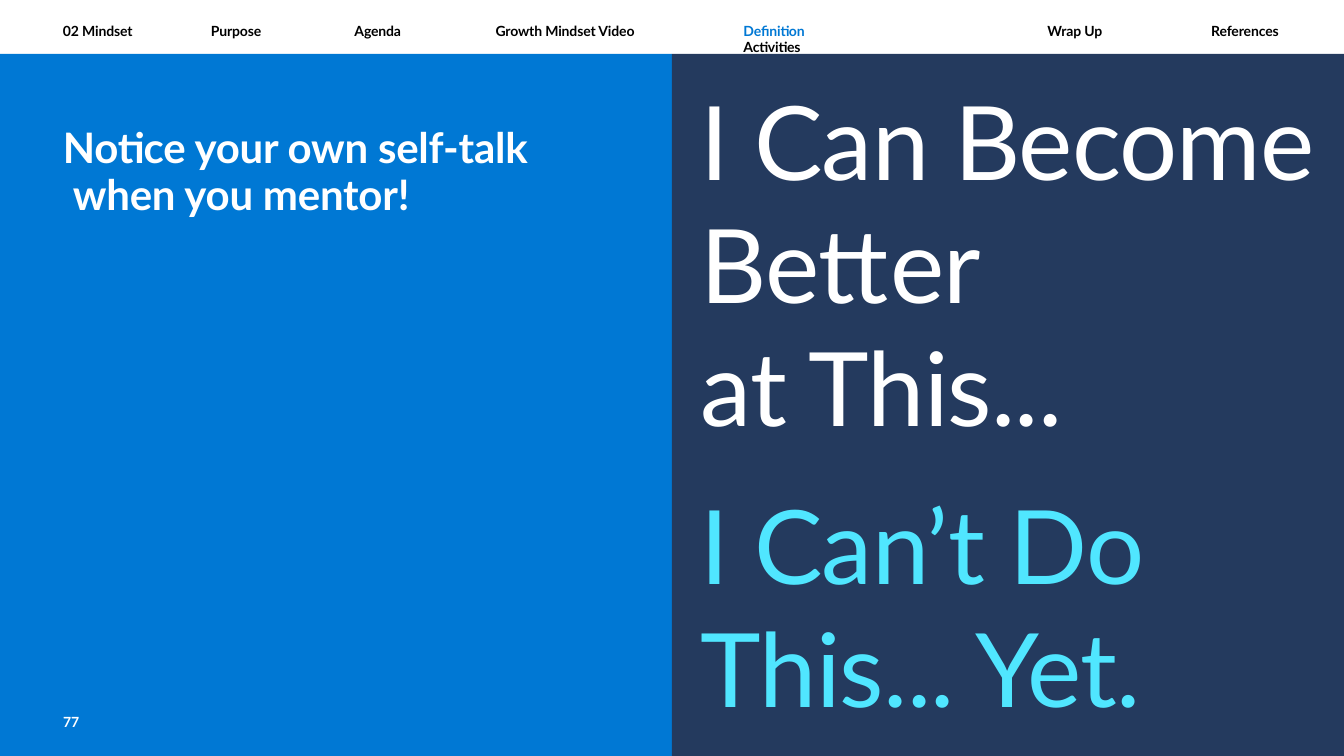
from pptx import Presentation
from pptx.dml.color import RGBColor
from pptx.enum.shapes import MSO_SHAPE
from pptx.util import Pt

COLORS = {
    "white": "FFFFFF",
    "black": "000000",
    "blue": "0078D4",
    "navy": "243A5E",
    "cyan": "50E6FF",
}
WIDTH, HEIGHT, HEADER = 1152, 648, 46.08
MARGIN = 53.3

deck = Presentation()
deck.slide_width = Pt(WIDTH)
deck.slide_height = Pt(HEIGHT)
page = deck.slides.add_slide(deck.slide_layouts[6])


def add_panel(left, top, width, height, color):
    panel = page.shapes.add_shape(
        MSO_SHAPE.RECTANGLE, Pt(left), Pt(top), Pt(width), Pt(height)
    )
    panel.shadow.inherit = False
    panel.fill.solid()
    panel.fill.fore_color.rgb = RGBColor.from_string(COLORS[color])
    panel.line.fill.background()


def add_lines(left, top, width, height, lines, size, bold=True, spacing=-0.1):
    box = page.shapes.add_textbox(Pt(left), Pt(top), Pt(width), Pt(height))
    frame = box.text_frame
    frame.word_wrap = True
    frame.margin_left = frame.margin_top = frame.margin_right = frame.margin_bottom = 0
    frame.text = "\n".join(text for text, color in lines)
    for para, (text, color) in zip(frame.paragraphs, lines):
        for span in para.runs:
            span.font.name = "Lato"
            span.font.size = Pt(size)
            span.font.bold = bold
            span.font.color.rgb = RGBColor.from_string(COLORS[color])
            span.font._element.set("spc", str(round(spacing * 100)))
    return frame.paragraphs


add_panel(0, HEADER, WIDTH / 2, HEIGHT - HEADER, "blue")
add_panel(WIDTH / 2, HEADER, WIDTH / 2, HEIGHT - HEADER, "navy")
add_panel(0, 0, WIDTH, HEADER, "white")

mantra = add_lines(
    600.5, 66.5, 528, 564,
    [
        ("I Can Become", "white"),
        ("Better", "white"),
        ("at This...", "white"),
        ("I Can’t Do", "cyan"),
        ("This... Yet.", "cyan"),
    ],
    88, bold=False, spacing=-0.65,
)
mantra[3].space_before = Pt(30)

heading = add_lines(
    MARGIN + 0.7, 107.3, 407, 80,
    [("Notice your own self-talk", "white"), ("when you mentor!", "white")],
    36, spacing=-0.2,
)
for para in heading:
    para.line_spacing = Pt(40)
heading[1]._p.get_or_add_pPr().set("marL", str(Pt(8.5)))

tabs = [
    (MARGIN, 75, [("02 Mindset", "black")]),
    (180, 60, [("Purpose", "black")]),
    (303.1, 60, [("Agenda", "black")]),
    (424.1, 136, [("Growth Mindset Video", "black")]),
    (636.5, 184, [("Definition", "blue"), ("Activities", "black")]),
    (897.1, 70, [("Wrap Up", "black")]),
    (1037.5, 75, [("References", "black")]),
]
for left, width, lines in tabs:
    add_lines(left + 0.7, 18.9, width, 15, lines, 12)

add_lines(MARGIN + 0.7, 611.3, 24, 15, [("77", "white")], 12, spacing=0)

deck.save("out.pptx")
